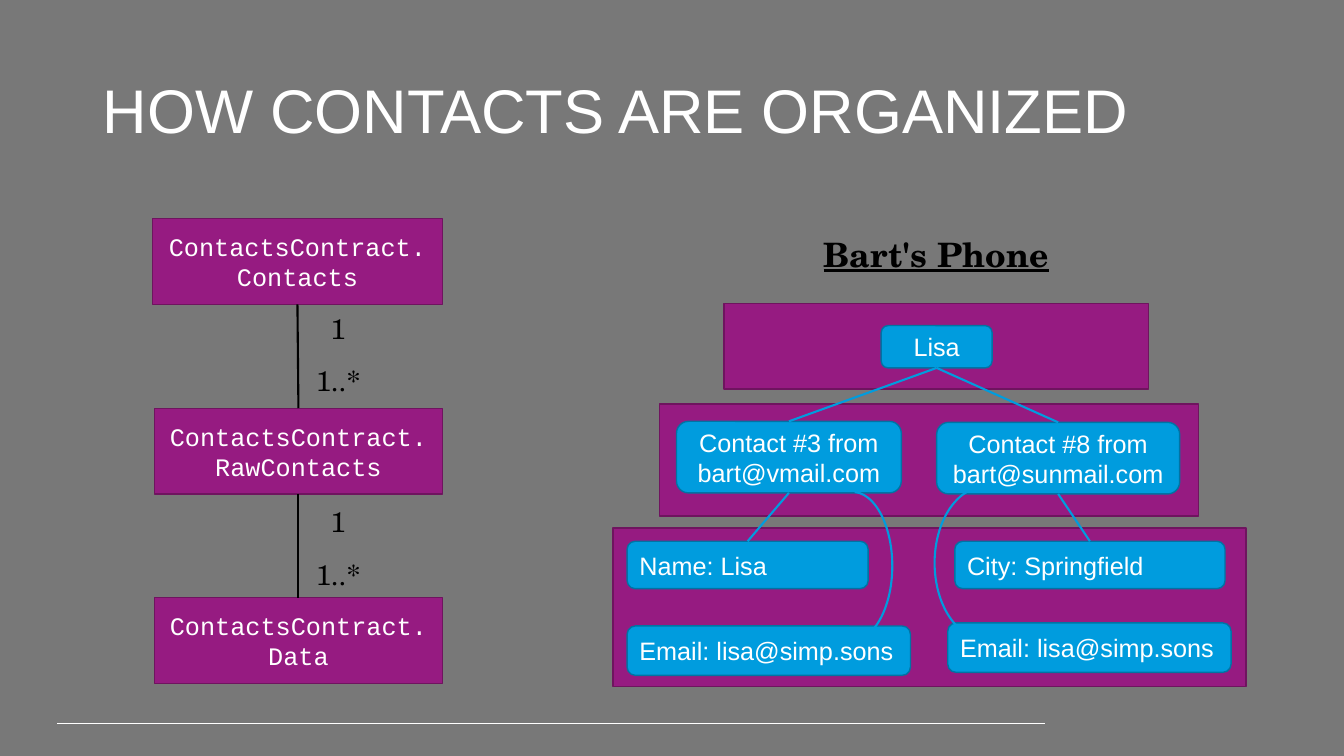
from lxml import etree
from pptx import Presentation
from pptx.dml.color import RGBColor
from pptx.enum import shapes, text
from pptx.oxml import ns
from pptx.util import Inches, Pt

GRAY = RGBColor(0x78, 0x78, 0x78)
WHITE = RGBColor(0xFF, 0xFF, 0xFF)
BLACK = RGBColor(0, 0, 0)
PURPLE = RGBColor(0x96, 0x1B, 0x81)
DARK_PURPLE = RGBColor(0x6F, 0x14, 0x5F)
BLUE = RGBColor(0x00, 0x9C, 0xDE)
DARK_BLUE = RGBColor(0x00, 0x73, 0xA4)
CENTER, LEFT = text.PP_ALIGN.CENTER, text.PP_ALIGN.LEFT
RECT = shapes.MSO_SHAPE.RECTANGLE
ROUNDED = shapes.MSO_SHAPE.ROUNDED_RECTANGLE
TOP, BOTTOM = 0, 2

deck = Presentation()
deck.slide_width, deck.slide_height = Inches(13.33), Inches(7.5)
page = deck.slides.add_slide(deck.slide_layouts[5])
page.background.fill.solid()
page.background.fill.fore_color.rgb = GRAY


def add_text(words, kind=None, at=(0, 0, 1, 1), size=18, font="Arial", color=WHITE,
             fill=None, line=None, align=CENTER, bold=False, underline=False):
    """Add a shape of the given kind, or a text box when there is none."""
    place = [Inches(length) for length in at]
    if kind is None:
        box = page.shapes.add_textbox(*place)
    else:
        box = page.shapes.add_shape(kind, *place)
        box.shadow.inherit = False
        box.fill.solid()
        box.fill.fore_color.rgb = fill
        box.line.color.rgb = line
        box.line.width = Pt(1)
        box.text_frame.vertical_anchor = text.MSO_ANCHOR.MIDDLE
    box.text_frame.word_wrap = True
    box.text_frame.text = words
    for para in box.text_frame.paragraphs:
        para.alignment = align
        para.font.name, para.font.size = font, Pt(size)
        para.font.color.rgb = color
        para.font.bold, para.font.underline = bold, underline
    return box


def add_line(color, width=1.5, upper=None, lower=None, ends=(0, 0, 0, 0)):
    """Join the bottom of the upper box to the top of the lower one, or draw between ends."""
    line = page.shapes.add_connector(
        shapes.MSO_CONNECTOR.STRAIGHT, *[Inches(length) for length in ends])
    if upper is not None:
        line.begin_connect(upper, BOTTOM)
        line.end_connect(lower, TOP)
    line.line.color.rgb = color
    line.line.width = Pt(width)
    etree.SubElement(line._element.spPr, ns.qn("a:effectLst"))


add_line(WHITE, width=0.75, ends=(0.57, 7.18, 10.36, 7.18))

title = page.shapes.title
title.left, title.top, title.width, title.height = (
    Inches(0.92), Inches(0.4), Inches(11.5), Inches(1.45))
title.text_frame.text = "HOW CONTACTS ARE ORGANIZED"
title.text_frame.auto_size = text.MSO_AUTO_SIZE.NONE
title.text_frame.vertical_anchor = text.MSO_ANCHOR.MIDDLE
para = title.text_frame.paragraphs[0]
para.alignment, para.line_spacing = LEFT, 0.9
para.font.name, para.font.size = "Arial", Pt(44)
para.font.color.rgb = WHITE

# Tables and their one-to-many relations
tables = [
    add_text(f"ContactsContract.{name}", RECT, (left, 2.17 + 1.88 * row, 4.39 - left, 0.85),
             font="Courier New", fill=PURPLE, line=DARK_PURPLE)
    for row, (name, left) in enumerate(
        [("Contacts", 1.51), ("RawContacts", 1.53), ("Data", 1.53)])]
for upper, lower in zip(tables, tables[1:]):
    add_line(BLACK, upper=upper, lower=lower)
for top in (3.04, 4.96):
    for label, offset in (("1", 0), ("1..*", 0.52)):
        add_text(label, at=(2.96, top + offset, 0.79, 0.44), size=20,
                 font="TeX Gyre Schola", color=BLACK)

# Example phone
add_text("Bart's Phone", at=(7.18, 2.27, 4.21, 0.5), size=24, font="TeX Gyre Schola",
         color=BLACK, bold=True, underline=True)
for band in ((7.18, 3.01, 4.21, 0.85), (6.54, 4.01, 5.35, 1.11), (6.08, 5.24, 6.28, 1.57)):
    add_text("", RECT, band, fill=PURPLE, line=DARK_PURPLE)

entries = {}
for key, words, at, align in (
    ("person", "Lisa", (8.74, 3.23, 1.1, 0.42), CENTER),
    ("third", "Contact #3 from\nbart@vmail.com", (6.71, 4.18, 2.23, 0.71), CENTER),
    ("eighth", "Contact #8 from\nbart@sunmail.com", (9.29, 4.19, 2.41, 0.71), CENTER),
    ("name", "Name: Lisa", (6.22, 5.37, 2.39, 0.47), LEFT),
    ("city", "City: Springfield", (9.47, 5.37, 2.68, 0.47), LEFT),
    ("left email", "Email: lisa@simp.sons", (6.22, 6.21, 2.81, 0.49), LEFT),
    ("right email", "Email: lisa@simp.sons", (9.4, 6.18, 2.81, 0.49), LEFT),
):
    entries[key] = add_text(words, ROUNDED, at, fill=BLUE, line=DARK_BLUE, align=align)

for upper, lower in (("person", "third"), ("person", "eighth"),
                     ("third", "name"), ("eighth", "city")):
    add_line(BLUE, upper=entries[upper], lower=entries[lower])

for at, start, flipped in (((8.06, 4.88, 0.79, 1.47), 163.08, False),
                           ((9.27, 4.83, 1, 1.51), 163.55, True)):
    arc = page.shapes.add_shape(shapes.MSO_SHAPE.ARC, *[Inches(length) for length in at])
    arc.shadow.inherit = False
    arc.fill.background()
    arc.line.color.rgb = BLUE
    arc.line.width = Pt(1.5)
    arc.adjustments[0], arc.adjustments[1] = start, 48.08
    if flipped:
        arc._element.spPr.xfrm.set("flipH", "1")

deck.save("out.pptx")
